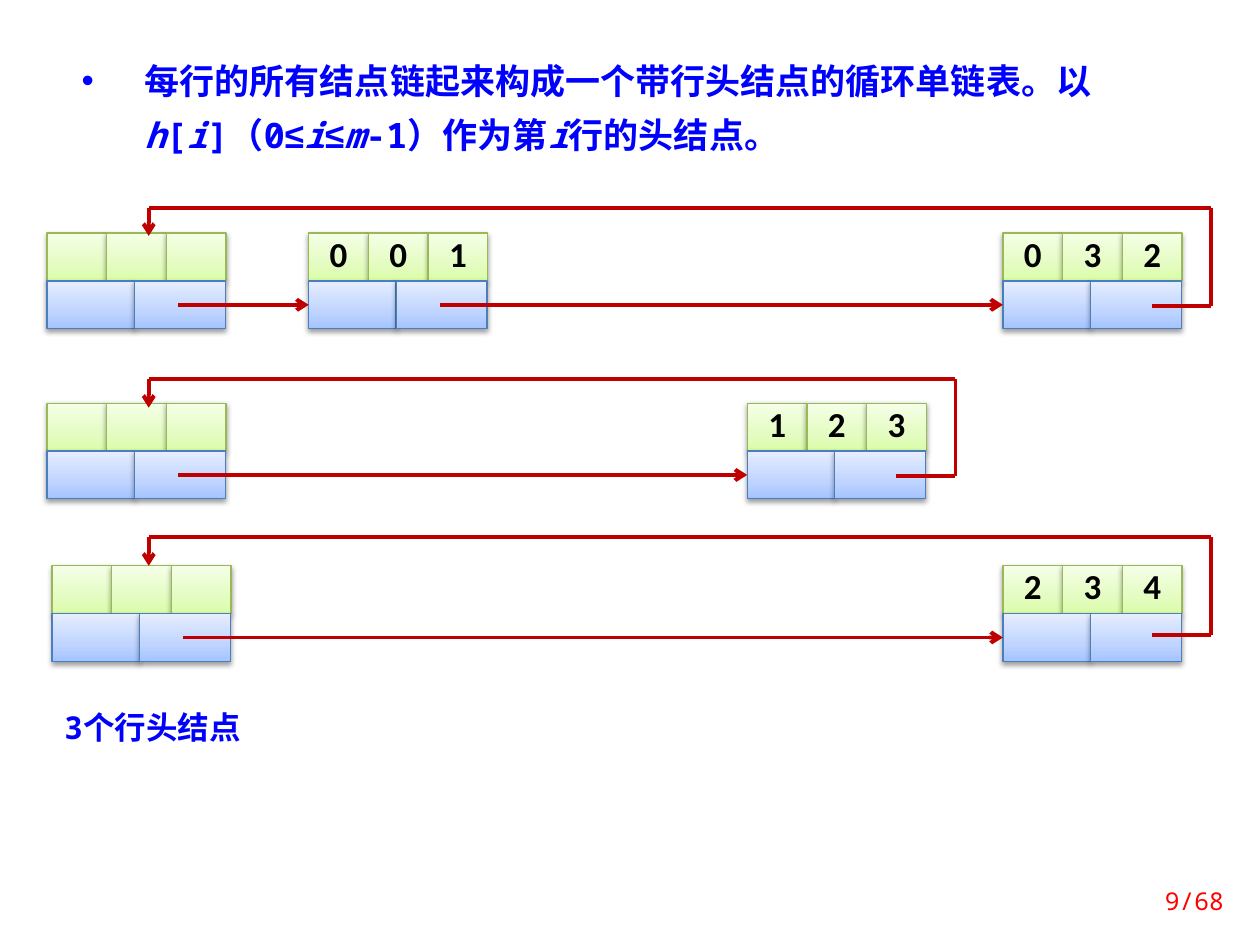
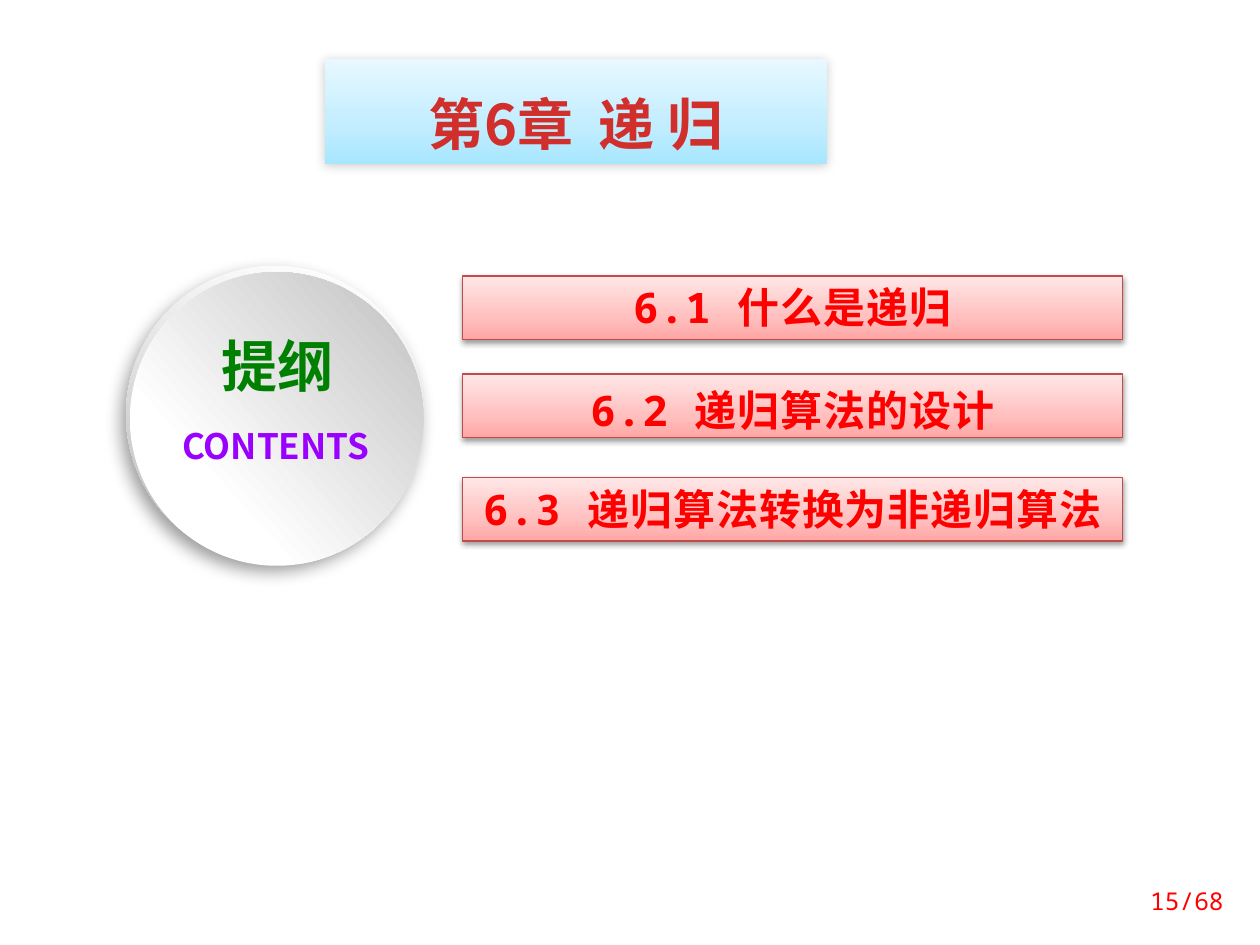
from lxml.etree import SubElement
from pptx import Presentation
from pptx.dml.color import RGBColor
from pptx.enum.shapes import MSO_CONNECTOR, MSO_SHAPE
from pptx.enum.text import MSO_ANCHOR, MSO_AUTO_SIZE, PP_ALIGN
from pptx.oxml.ns import qn
from pptx.util import Pt

# Shared styles
MONO, CJK = "Noto Sans Mono", "Noto Sans CJK SC"
BLUE, RED, LINK_RED = "0000FF", "FF0000", "C00000"
GREEN_FILL = [(0, "DAFDA7"), (35, "E4FCC2"), (100, "F5FFE7")]
BLUE_FILL = [(0, "A4C4FF"), (35, "BFD4FF"), (100, "E6EEFF")]
PINK_FILL = [(0, "FFA6A5"), (35, "FFC0BF"), (100, "FFE7E7")]
SKY_FILL = [(0, "A7E6FF"), (35, "C1EDFF"), (100, "E7F8FF")]
TITLE_TEXT_FILL = [(0, "FC7C7A"), (75, "D02F2C"), (100, "C70500")]
# Shadow: opacity in percent, blur, distance, direction in degrees
SOFT_SHADOW = (38, 3.1, 1.6, 90)
TITLE_SHADOW = (20, 6, 1, 135)
DISC_SHADOW = (39, 10, 5, 123)

# Slide 1: row lists of a sparse matrix
ITALIC, ARIAL = {"italic": True}, {"font": "Arial"}
RULE_RUNS = [
    ("每行的所有结点链起来构成一个带行头结点的循环单链表。以", {}),
    ("h", ITALIC), ("[", {}), ("i", ITALIC), ("]（0", {}), ("≤", ARIAL),
    ("i", ITALIC), ("≤", ARIAL), ("m", ITALIC), ("-1）作为第", {}),
    ("i", ITALIC), ("行的头结点。", {}),
]
ROWS = [
    {"top": 133.2, "head": 26.9, "nodes": [(176.4, "001"), (573.1, "032")],
     "loop_top": 118.7, "loop_bottom": 175, "tip": 134.8},
    {"top": 230.4, "head": 26.9, "nodes": [(427, "123")],
     "loop_top": 216.6, "loop_bottom": 272.2, "tip": 233},
    {"top": 323.3, "head": 29.8, "nodes": [(573.1, "234")],
     "loop_top": 306.6, "loop_bottom": 362.9, "tip": 323.3},
]
CELL_WIDTH, CELL_HEIGHT = 34.1, 27.3
DOWN_WIDTH, RIGHT_WIDTH = 50, 52
POINTER_X, POINTER_Y = 75, 41
LOOP_START, LOOP_END, LOOP_X = 85.2, 119, 85

# Slide 2: chapter outline; left, top, width, height and top inset of each bar
TITLE_RUNS = [("第6章", {}), (" ", {"spacing": 7}), ("递 归", {})]
SECTIONS = [
    ("6.1 什么是递归", 157.7, 3),
    ("6.2 递归算法的设计", 213.8, 6),
    ("6.3 递归算法转换为非递归算法", 272.9, 3.6),
]
DISCS = [
    ((72, 151.9, 170, 170), 62.3, [(17, "FFFFFF"), (88, "B8B8B8")], DISC_SHADOW),
    ((74.2, 155.5, 167.8, 167.8), 273, [(29, "FFFFFF"), (98, "BFBFBF")], None),
]
DISC_LABELS = [
    ("CONTENTS", (91.4, 239, 132.5, 31.7), 20, "9900FF"),
    ("提纲", (103, 185.8, 110.9, 46.1), 32, "008000"),
]


def rgb(hex_color):
    return RGBColor.from_string(hex_color)


def set_gradient(fill, element, stops, angle):
    """Fill with any number of stops; the angle runs clockwise."""
    fill.gradient()
    fill.gradient_angle = (360 - angle) % 360
    stop_list = element.find(qn("a:gradFill")).find(qn("a:gsLst"))
    for old_stop in list(stop_list):
        stop_list.remove(old_stop)
    for position, color in stops:
        stop = SubElement(stop_list, qn("a:gs"), pos=str(position * 1000))
        SubElement(stop, qn("a:srgbClr"), val=color)


def set_shadow(shape, shadow):
    shape.shadow.inherit = False
    if shadow is None:
        return
    opacity, blur, distance, direction = shadow
    effects = shape._element.spPr.find(qn("a:effectLst"))
    outer = SubElement(effects, qn("a:outerShdw"), blurRad=str(Pt(blur)),
                       dist=str(Pt(distance)), dir=str(direction * 60000),
                       rotWithShape="0")
    color = SubElement(outer, qn("a:srgbClr"), val="000000")
    SubElement(color, qn("a:alpha"), val=str(opacity * 1000))


def add_gradient_shape(shapes, kind, box, stops, line=None, shadow=SOFT_SHADOW, angle=270):
    shape = shapes.add_shape(kind, *map(Pt, box))
    set_gradient(shape.fill, shape._element.spPr, stops, angle)
    if line:
        shape.line.color.rgb = rgb(line)
        shape.line.width = Pt(0.75)
    else:
        shape.line.fill.background()
    set_shadow(shape, shadow)
    return shape


def add_run(paragraph, text, size, color, font=MONO, bold=True, italic=False,
            spacing=0, east_font=CJK):
    run = paragraph.add_run()
    run.text = text
    run.font.size = Pt(size)
    run.font.bold = bold
    run.font.italic = italic
    run.font.name = font
    properties = run._r.get_or_add_rPr()
    if isinstance(color, str):
        run.font.color.rgb = rgb(color)
    else:
        set_gradient(run.font.fill, properties, color, 90)
    if spacing:
        properties.set("spc", str(int(spacing * 100)))
    SubElement(properties, qn("a:ea"), typeface=east_font)


def write(shape, runs, align=PP_ALIGN.CENTER, anchor=MSO_ANCHOR.TOP, wrap=True,
          grow=True, line_spacing=None, space_before=True, insets=(3.6, 3.6), **style):
    frame = shape.text_frame
    frame.word_wrap = wrap
    frame.vertical_anchor = anchor
    frame.margin_top, frame.margin_bottom = map(Pt, insets)
    if grow:
        frame.auto_size = MSO_AUTO_SIZE.SHAPE_TO_FIT_TEXT
    paragraph = frame.paragraphs[0]
    paragraph.alignment = align
    if line_spacing:
        paragraph.line_spacing = line_spacing
    if space_before:
        # Half a line before the paragraph
        paragraph.space_before = Pt(0)
        before = paragraph._p.pPr.find(qn("a:spcBef"))
        before.remove(before[0])
        SubElement(before, qn("a:spcPct"), val="50000")
    for text, changes in runs:
        add_run(paragraph, text, **{**style, **changes})
    return paragraph


def add_text(slide, box, runs, **options):
    return write(slide.shapes.add_textbox(*map(Pt, box)), runs, **options)


def add_page_number(slide, text):
    add_text(slide, (635.8, 500.4, 70.6, 28.8), [(text, {})], align=PP_ALIGN.RIGHT,
             anchor=MSO_ANCHOR.MIDDLE, grow=False, space_before=False,
             size=14, color=RED, bold=False)


def add_line(shapes, start, end, arrow=False):
    connector = shapes.add_connector(MSO_CONNECTOR.STRAIGHT, *map(Pt, start + end))
    connector.line.color.rgb = rgb(LINK_RED)
    connector.line.width = Pt(2.25)
    if arrow:
        SubElement(connector.line._get_or_add_ln(), qn("a:tailEnd"), type="arrow")
    SubElement(connector._element.spPr, qn("a:effectLst"))


def add_node(slide, left, top, values):
    shapes = slide.shapes.add_group_shape().shapes
    for index, value in enumerate(values):
        box = (left + index * CELL_WIDTH, top, CELL_WIDTH, CELL_HEIGHT)
        cell = add_gradient_shape(shapes, MSO_SHAPE.RECTANGLE, box, GREEN_FILL, "98B955")
        if value.strip():
            write(cell, [(value, {})], anchor=MSO_ANCHOR.MIDDLE, wrap=False, grow=False,
                  line_spacing=0.8, size=20, color="000000", font="Calibri")
    for offset, width in ((0, DOWN_WIDTH), (DOWN_WIDTH, RIGHT_WIDTH)):
        box = (left + offset, top + CELL_HEIGHT, width, CELL_HEIGHT)
        add_gradient_shape(shapes, MSO_SHAPE.RECTANGLE, box, BLUE_FILL, "4B7EBC")


def add_row_links(slide, row):
    # Each pointer cell leads to the next node
    lefts = [row["head"]] + [left for left, _ in row["nodes"]]
    y = row["top"] + POINTER_Y
    for left, next_left in zip(lefts, lefts[1:]):
        add_line(slide.shapes, (left + POINTER_X, y), (next_left, y), arrow=True)
    # The last node leads back to the row head
    shapes = slide.shapes.add_group_shape().shapes
    right, upper, lower = lefts[-1] + LOOP_END, row["loop_top"], row["loop_bottom"]
    corners = [(lefts[-1] + LOOP_START, lower), (right, lower), (right, upper),
               (LOOP_X, upper), (LOOP_X, row["tip"])]
    for index, (start, end) in enumerate(zip(corners, corners[1:])):
        add_line(shapes, start, end, arrow=index == len(corners) - 2)


def build_row_lists(slide):
    paragraph = add_text(slide, (39.6, 23, 607.7, 67), RULE_RUNS, align=PP_ALIGN.LEFT,
                         line_spacing=1.3, size=20, color=BLUE)
    properties = paragraph._p.pPr
    properties.set("marL", str(Pt(36)))
    properties.set("indent", str(Pt(-36)))
    SubElement(properties, qn("a:buFont"), typeface="Arial")
    SubElement(properties, qn("a:buChar"), char="•")
    for row in ROWS:
        for left, values in [(row["head"], " " * 3)] + row["nodes"]:
            add_node(slide, left, row["top"], values)
    for row in ROWS:
        add_row_links(slide, row)
    add_text(slide, (28.1, 405.4, 118.1, 24.5), [("3个行头结点", {})],
             line_spacing=0.8, size=18, color=BLUE)
    add_page_number(slide, "9/68")


def build_outline(slide):
    title = add_gradient_shape(slide.shapes, MSO_SHAPE.RECTANGLE, (185.8, 33.8, 286.6, 59.8),
                               SKY_FILL, shadow=TITLE_SHADOW)
    write(title, TITLE_RUNS, insets=(17.3, 3.6), size=32, color=TITLE_TEXT_FILL,
          font="Noto Sans CJK JP", east_font="Noto Sans CJK JP")
    # Round badge
    badge = slide.shapes.add_group_shape().shapes
    for box, rotation, stops, shadow in DISCS:
        disc = add_gradient_shape(badge, MSO_SHAPE.OVAL, box, stops, shadow=shadow, angle=45)
        disc.rotation = rotation
    for text, box, size, color in DISC_LABELS:
        add_text(slide, box, [(text, {})], size=size, color=color, font=CJK)
    # Section bars
    for text, top, inset in SECTIONS:
        bar = add_gradient_shape(slide.shapes, MSO_SHAPE.RECTANGLE, (264.2, top, 377.2, 36.3),
                                 PINK_FILL, "BF4C48")
        write(bar, [(text, {})], insets=(inset, 3.6 if inset == 3.6 else 5.8),
              size=24, color=RED, spacing=0.5)
    add_page_number(slide, "15/68")


def main():
    presentation = Presentation()
    presentation.slide_width, presentation.slide_height = Pt(720), Pt(540)
    for build in (build_row_lists, build_outline):
        build(presentation.slides.add_slide(presentation.slide_layouts[6]))
    presentation.save("out.pptx")


if __name__ == "__main__":
    main()
